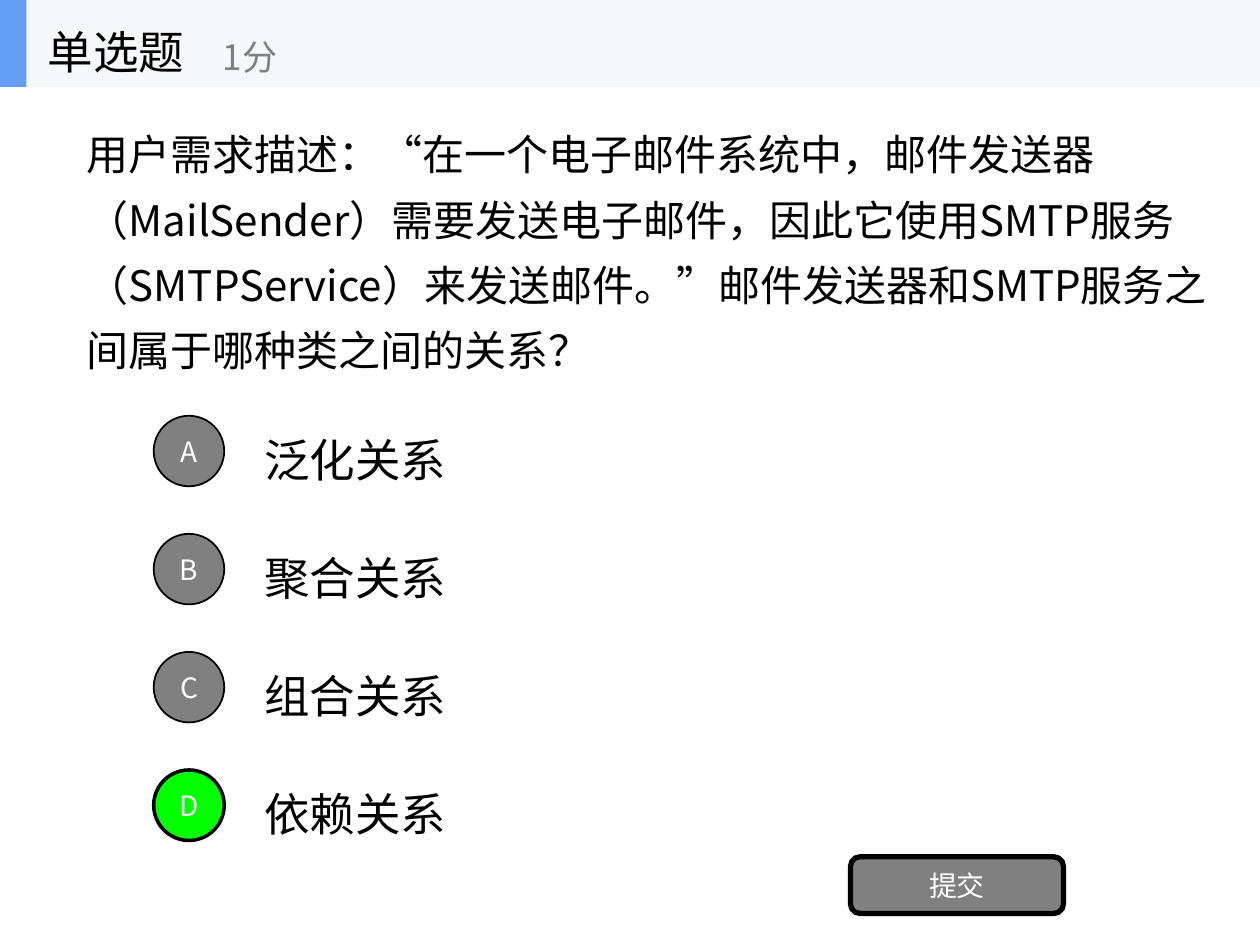
from lxml.etree import SubElement
from pptx import Presentation
from pptx.dml.color import RGBColor
from pptx.enum.shapes import MSO_SHAPE as Shape
from pptx.enum.text import MSO_ANCHOR as Anchor, PP_ALIGN as Align
from pptx.oxml.ns import qn
from pptx.util import Inches, Pt

# Content
HEADING, POINTS = "单选题", "1分"
QUESTION = (
    "用户需求描述：“在一个电子邮件系统中，邮件发送器（MailSender）需要发送电子邮件，"
    "因此它使用SMTP服务（SMTPService）来发送邮件。”邮件发送器和SMTP服务之间属于哪种类之间的关系？"
)
OPTIONS = [("A", "泛化关系"), ("B", "聚合关系"), ("C", "组合关系"), ("D", "依赖关系")]
ANSWER = "D"
SUBMIT = "提交"

THEME = {
    "font": "Noto Sans CJK SC",
    "black": "000000", "white": "FFFFFF", "gray": "808080",
    "green": "00FF00", "band": "F6F7F8", "accent": "639EF4",
    "title": 26, "question": 24, "option": 26, "points": 20, "label": 16,
}

# Layout in inches
HEADER_HEIGHT = 0.69
FIRST_OPTION, OPTION_STEP = 3.23, 0.937
OPTION_HEIGHT, BADGE = 0.7, 0.56


def color(name):
    return RGBColor.from_string(THEME[name])


def write(box, text, size, ink, align=Align.LEFT, spacing=None):
    frame = box.text_frame
    frame.word_wrap = True
    frame.vertical_anchor = Anchor.MIDDLE
    para = frame.paragraphs[0]
    for name, value in {"alignment": align, "line_spacing": spacing}.items():
        setattr(para, name, value)
    span = para.add_run()
    span.text = text
    for name, value in {"name": THEME["font"], "size": Pt(THEME[size])}.items():
        setattr(span.font, name, value)
    span.font.color.rgb = color(ink)
    # Chinese characters take the East Asian typeface
    SubElement(span.font._element, qn("a:ea"), typeface=THEME["font"])


def add_text(shapes, place, text, size, ink="black"):
    box = shapes.add_textbox(*map(Inches, place))
    write(box, text, size, ink, spacing=1.3)


def add_block(shapes, kind, place, fill, border=0):
    block = shapes.add_shape(kind, *map(Inches, place))
    block.shadow.inherit = False
    block.fill.solid()
    block.fill.fore_color.rgb = color(fill)
    if border:
        block.line.color.rgb = color("black")
        block.line.width = Pt(border)
    else:
        block.line.fill.background()
    return block


def add_button(shapes, kind, place, text, fill, border):
    button = add_block(shapes, kind, place, fill, border)
    for side in ("left", "right", "top", "bottom"):
        setattr(button.text_frame, f"margin_{side}", 0)
    write(button, text, "label", "white", Align.CENTER)


def main():
    deck = Presentation()
    deck.slide_width, deck.slide_height = Inches(10), Inches(7.5)
    page = deck.slides.add_slide(deck.slide_layouts[6])
    shapes = page.shapes

    # Question
    add_text(shapes, (0.59, HEADER_HEIGHT, 9.13, 2.5), QUESTION, "question")

    # Options, each badge centred on its row
    for row, (letter, answer) in enumerate(OPTIONS):
        top = FIRST_OPTION + row * OPTION_STEP
        add_text(shapes, (2, top, 7, OPTION_HEIGHT), answer, "option")
        badge_top = top + (OPTION_HEIGHT - BADGE) / 2
        fill, border = ("green", 2) if letter == ANSWER else ("gray", 1)
        add_button(shapes, Shape.OVAL, (1.22, badge_top, BADGE, BADGE),
                   letter, fill, border)

    # Submit button
    add_button(shapes, Shape.ROUNDED_RECTANGLE, (6.75, 6.8, 1.69, 0.45),
               SUBMIT, "gray", 3)

    # Header
    header = shapes.add_group_shape().shapes
    for width, fill in ((10, "band"), (0.21, "accent")):
        add_block(header, Shape.RECTANGLE, (0, 0, width, HEADER_HEIGHT), fill)
    add_text(header, (0.28, 0, 2.08, HEADER_HEIGHT), HEADING, "title")
    add_text(header, (1.67, 0.12, 2.5, 0.56), POINTS, "points", "gray")

    deck.save("out.pptx")


if __name__ == "__main__":
    main()
